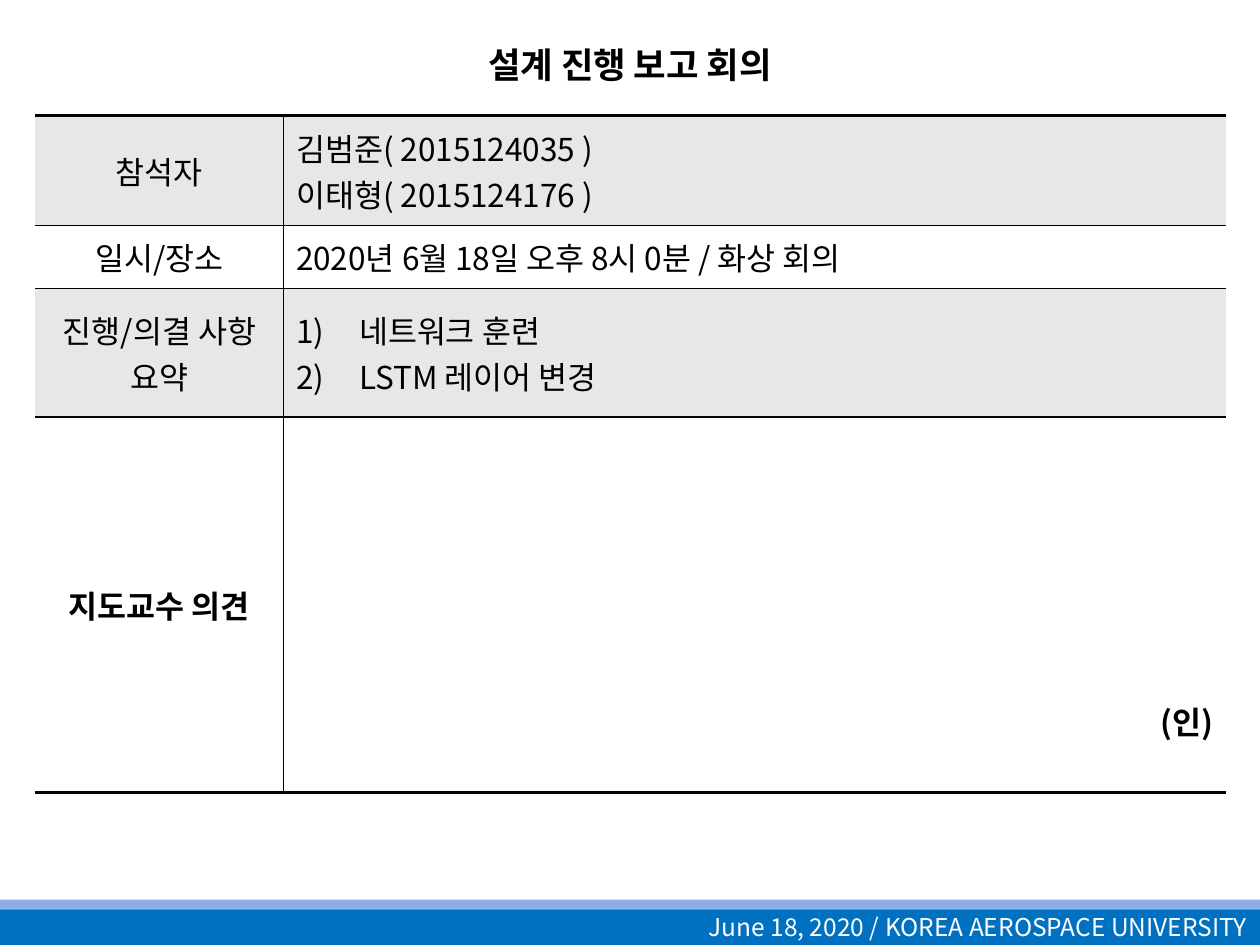
import pptx
import pptx.dml.color
import pptx.enum.shapes
import pptx.enum.text
import pptx.oxml
import pptx.oxml.ns
import pptx.util

FONT = "Noto Sans CJK KR"
BLACK, WHITE, GREY = "000000", "FFFFFF", "E7E7E7"
ALIGN = pptx.enum.text.PP_ALIGN
ANCHOR = pptx.enum.text.MSO_ANCHOR
Inches = pptx.util.Inches

COLUMNS = [1.97, 7.48]
ROWS = [0.87, 0.5, 1.02, 2.98]
LABELS = ["참석자", "일시/장소", "진행/의결 사항 요약", "지도교수 의견"]
CONTENT = [
    ["김범준( 2015124035 )", "이태형( 2015124176 )"],
    ["2020년 6월 18일 오후 8시 0분 / 화상 회의"],
    ["네트워크 훈련", "LSTM 레이어 변경"],
    ["(인)"],
]
NUMBERED_ROW = 2


def color(value):
    return pptx.dml.color.RGBColor.from_string(value)


def add_xml(parent, tag, **attributes):
    element = pptx.oxml.parse_xml(f"<a:{tag} {pptx.oxml.ns.nsdecls('a')}/>")
    for name, value in attributes.items():
        element.set(name, str(value))
    parent.append(element)
    return element


def add_run(paragraph, text, size, text_color=BLACK, bold=False, align=ALIGN.LEFT):
    paragraph.alignment = align
    run = paragraph.add_run()
    run.text = text
    run.font.size = pptx.util.Pt(size)
    run.font.bold = bold
    run.font.color.rgb = color(text_color)
    run.font.name = FONT
    add_xml(run.font._element, "ea", typeface=FONT)
    return run


def add_title(slide, text):
    title = slide.shapes.title
    title.left, title.top = Inches(0.75), Inches(0.21)
    title.width, title.height = Inches(8.5), Inches(0.55)
    frame = title.text_frame
    frame.auto_size = pptx.enum.text.MSO_AUTO_SIZE.NONE
    frame.vertical_anchor = ANCHOR.MIDDLE
    run = add_run(frame.paragraphs[0], text, 25.2, bold=True, align=ALIGN.CENTER)
    # Small capitals with a hairline grey outline
    properties = run.font._element
    properties.set("cap", "small")
    outline = add_xml(properties, "ln", w=pptx.util.Pt(0.25))
    add_xml(add_xml(outline, "solidFill"), "srgbClr", val="808080")
    properties.insert(0, outline)


def add_bar(slide, top, height, fill):
    bar = slide.shapes.add_shape(
        pptx.enum.shapes.MSO_SHAPE.RECTANGLE,
        0, Inches(top), Inches(10), Inches(height))
    bar.shadow.inherit = False
    bar.fill.solid()
    bar.fill.fore_color.rgb = color(fill)
    bar.line.fill.background()
    return bar


def set_borders(cell, widths):
    """Set left, right, top and bottom border widths; 0 means no line."""
    properties = cell._tc.get_or_add_tcPr()
    for index, (side, width) in enumerate(zip("LRTB", widths)):
        line = add_xml(properties, f"ln{side}", w=pptx.util.Pt(width))
        if width:
            add_xml(add_xml(line, "solidFill"), "srgbClr", val=BLACK)
        else:
            add_xml(line, "noFill")
        properties.insert(index, line)


def fill_cell(cell, lines, bold=False, align=ALIGN.LEFT, numbered=False):
    cell.vertical_anchor = ANCHOR.MIDDLE
    frame = cell.text_frame
    for index, text in enumerate(lines):
        paragraph = frame.add_paragraph() if index else frame.paragraphs[0]
        add_run(paragraph, text, 18, bold=bold, align=align)
        if numbered:
            properties = paragraph._p.get_or_add_pPr()
            properties.set("marL", str(Inches(0.5)))
            properties.set("indent", str(-Inches(0.5)))
            add_xml(properties, "buFont", typeface="+mj-lt")
            add_xml(properties, "buAutoNum", type="arabicParenR")


def add_report_table(slide):
    last = len(ROWS) - 1
    table = slide.shapes.add_table(
        len(ROWS), len(COLUMNS), Inches(0.28), Inches(0.92),
        Inches(sum(COLUMNS)), Inches(sum(ROWS))).table
    for column, width in zip(table.columns, COLUMNS):
        column.width = Inches(width)
    for index, height in enumerate(ROWS):
        table.rows[index].height = Inches(height)
        label, content = table.cell(index, 0), table.cell(index, 1)
        final = index == last
        fill_cell(label, [LABELS[index]], final, ALIGN.CENTER)
        fill_cell(content, CONTENT[index], final,
                  ALIGN.RIGHT if final else ALIGN.LEFT, index == NUMBERED_ROW)
        top, bottom = (2 if index == 0 else 1), (2 if final else 1)
        for cell, sides in ((label, (0, 1)), (content, (1, 0))):
            cell.fill.solid()
            cell.fill.fore_color.rgb = color(WHITE if index % 2 else GREY)
            set_borders(cell, (*sides, top, bottom))
    # The seal mark sits low in the comment cell
    seal = table.cell(last, 1)
    seal.vertical_anchor = ANCHOR.BOTTOM
    seal.margin_bottom = Inches(0.39)


def main():
    presentation = pptx.Presentation()
    presentation.slide_width, presentation.slide_height = Inches(10), Inches(7.5)
    slide = presentation.slides.add_slide(presentation.slide_layouts[5])

    # Footer bars
    footer = add_bar(slide, 7.21, 0.29, "0070C0")
    footer.text_frame.vertical_anchor = ANCHOR.MIDDLE
    add_run(footer.text_frame.paragraphs[0],
            "June 18, 2020 / KOREA AEROSPACE UNIVERSITY", 14, WHITE,
            align=ALIGN.RIGHT)
    add_bar(slide, 7.14, 0.08, "8FADE9")

    # Title and report
    add_title(slide, "설계 진행 보고 회의")
    add_report_table(slide)
    presentation.save("out.pptx")


if __name__ == "__main__":
    main()
